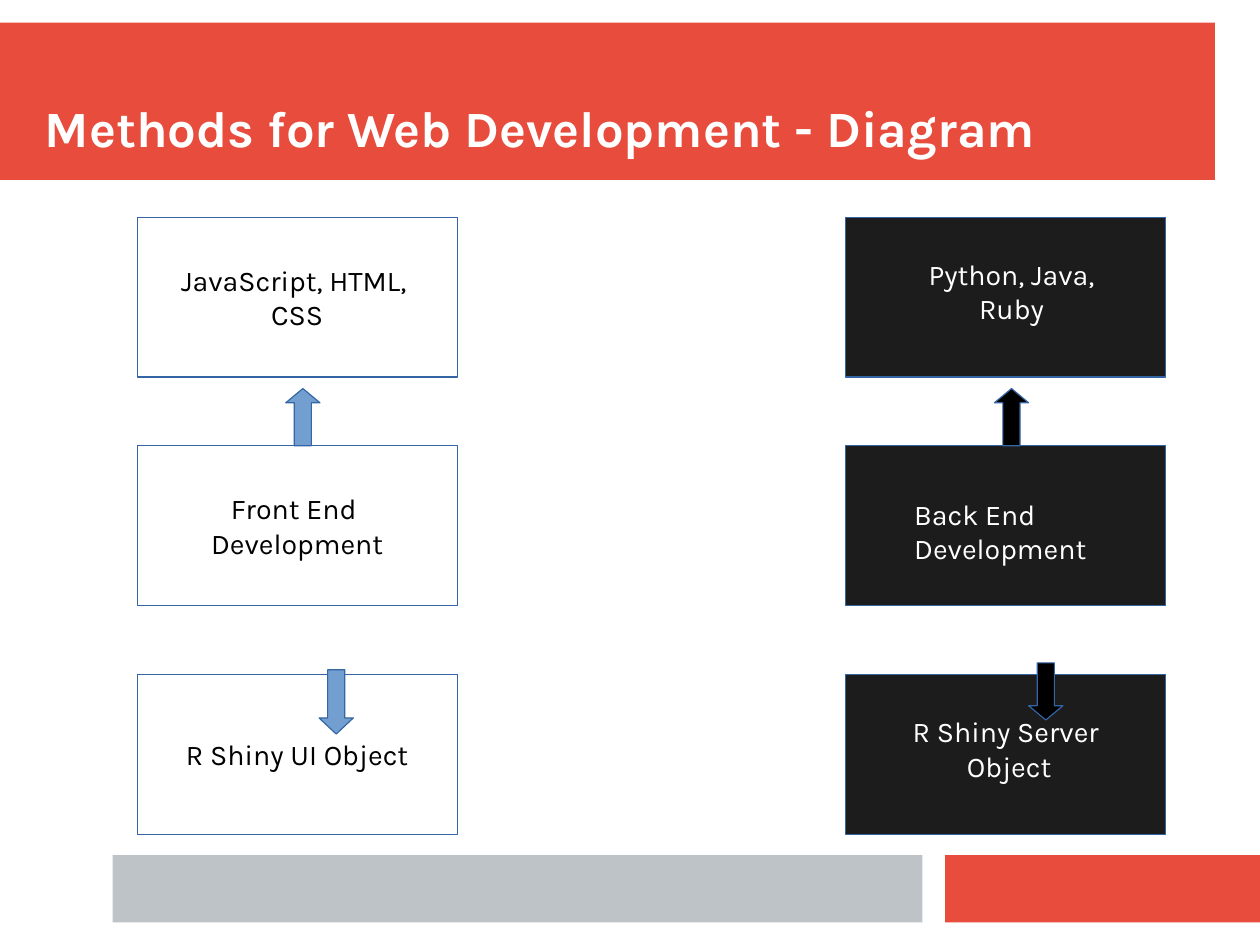
"""Build the web development methods diagram slide."""
import pptx
import pptx.dml.color
import pptx.enum.shapes
import pptx.enum.text
import pptx.util

Pt = pptx.util.Pt
RGBColor = pptx.dml.color.RGBColor
MSO_SHAPE = pptx.enum.shapes.MSO_SHAPE
ALIGN = pptx.enum.text.PP_ALIGN
ANCHOR = pptx.enum.text.MSO_ANCHOR

RED = RGBColor(0xE7, 0x4C, 0x3C)
GREY = RGBColor(0xBD, 0xC3, 0xC7)
WHITE = RGBColor(0xFF, 0xFF, 0xFF)
BLACK = RGBColor(0x00, 0x00, 0x00)
CHARCOAL = RGBColor(0x1C, 0x1C, 0x1C)
OUTLINE = RGBColor(0x34, 0x65, 0xA4)
SKY = RGBColor(0x72, 0x9F, 0xCF)
FONT = "Karla"

TITLE = "Methods for Web Development - Diagram"
BANDS = [
    ((0, 14.2, 765.4, 99.2), RED),
    ((595.4, 538.6, 198.4, 42.5), RED),
    ((70.9, 538.6, 510.2, 42.5), GREY),
]
FRONT_END = [
    ["JavaScript, HTML, ", "CSS"],
    ["Front End ", "Development"],
    ["R Shiny UI Object"],
]
BACK_END = [
    (["Python, Java, Ruby"], ALIGN.CENTER, (561.6, 158.4, 151.2, 49)),
    (["Back End Development"], ALIGN.LEFT, (568.8, 309.6, 136.8, 50.4)),
    (["R Shiny Server", " Object"], ALIGN.CENTER, (554.4, 446.4, 158.4, 49)),
]
ARROWS = [
    (MSO_SHAPE.UP_ARROW, (180, 244.8, 21.6, 36), SKY),
    (MSO_SHAPE.DOWN_ARROW, (201, 421.9, 21.6, 40.5), SKY),
    (MSO_SHAPE.UP_ARROW, (626.4, 244.8, 21.6, 36), BLACK),
    (MSO_SHAPE.DOWN_ARROW, (648, 417.6, 21.6, 36), BLACK),
]
FRONT_LEFT, BACK_LEFT = 86.4, 532.8
BOX_TOP, BOX_STEP = 136.8, 144
BOX_WIDTH, BOX_HEIGHT = 201.6, 100.8


def add_block(slide, preset, place, fill, outline=None):
    block = slide.shapes.add_shape(preset, *map(Pt, place))
    block.shadow.inherit = False
    block.fill.solid()
    block.fill.fore_color.rgb = fill
    if outline is None:
        block.line.fill.background()
    else:
        block.line.color.rgb = outline
        block.line.width = Pt(0.75)
    return block


def write(frame, lines, color, align, size=18, bold=False):
    for index, line in enumerate(lines):
        paragraph = frame.add_paragraph() if index else frame.paragraphs[0]
        paragraph.alignment = align
        run = paragraph.add_run()
        run.text = line
        run.font.name = FONT
        run.font.size = Pt(size)
        run.font.bold = bold
        run.font.color.rgb = color


def add_label(slide, place, lines, align, **style):
    frame = slide.shapes.add_textbox(*map(Pt, place)).text_frame
    frame.word_wrap = True
    write(frame, lines, WHITE, align, **style)
    return frame


def main():
    deck = pptx.Presentation()
    deck.slide_width, deck.slide_height = Pt(793.7), Pt(595.3)
    slide = deck.slides.add_slide(deck.slide_layouts[6])

    for place, fill in BANDS:
        add_block(slide, MSO_SHAPE.RECTANGLE, place, fill)

    for row, (front_lines, back_label) in enumerate(zip(FRONT_END, BACK_END)):
        box = (BOX_TOP + row * BOX_STEP, BOX_WIDTH, BOX_HEIGHT)
        front = add_block(slide, MSO_SHAPE.RECTANGLE, (FRONT_LEFT, *box), WHITE, OUTLINE)
        front.text_frame.word_wrap = False
        front.text_frame.vertical_anchor = ANCHOR.MIDDLE
        write(front.text_frame, front_lines, BLACK, ALIGN.CENTER)
        add_block(slide, MSO_SHAPE.RECTANGLE, (BACK_LEFT, *box), CHARCOAL, OUTLINE)
        back_lines, align, place = back_label
        add_label(slide, place, back_lines, align)

    for preset, place, fill in ARROWS:
        arrow = add_block(slide, preset, place, fill, OUTLINE)
        width, height = place[2:]
        arrow.adjustments[1] = height / 4 / width

    title = add_label(slide, (28.3, 28.3, 737, 70.9), [TITLE], ALIGN.LEFT, size=32, bold=True)
    title.vertical_anchor = ANCHOR.BOTTOM
    title.margin_left = title.margin_right = title.margin_top = title.margin_bottom = 0

    deck.save("out.pptx")


if __name__ == "__main__":
    main()
